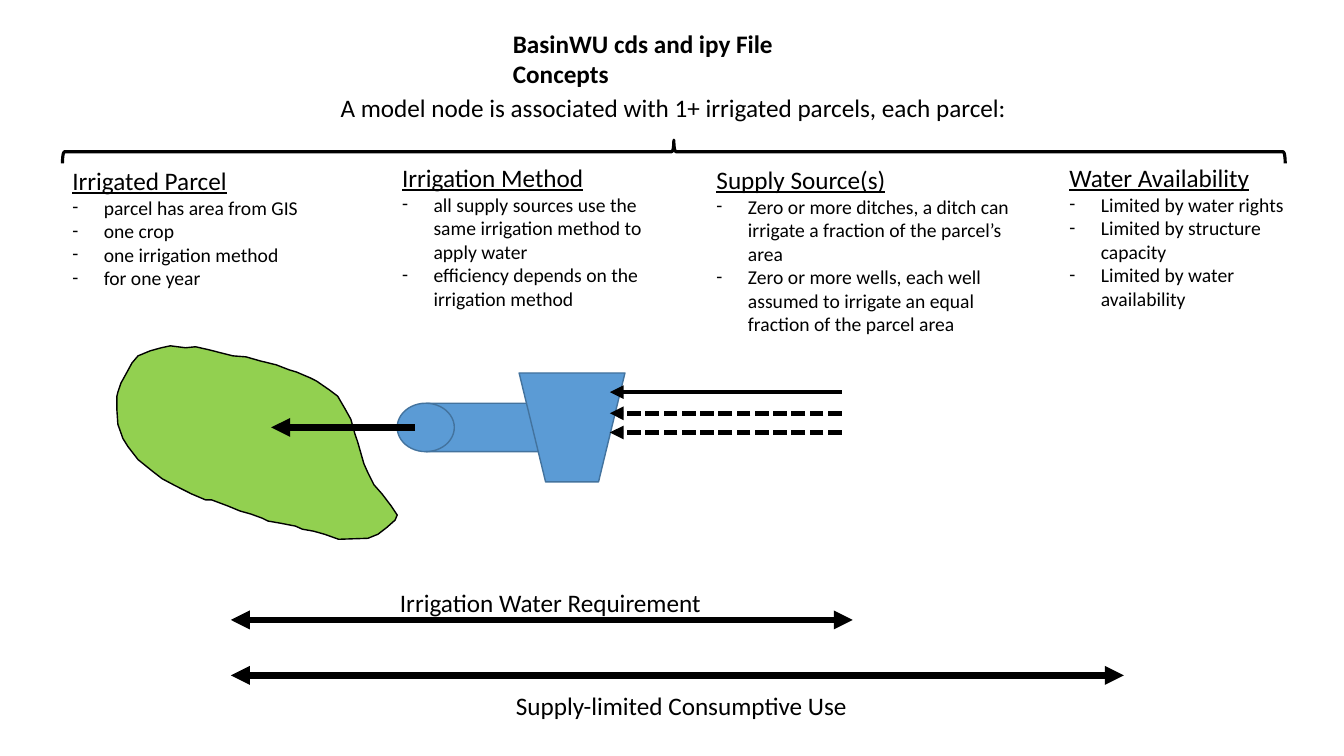
from lxml import etree
from pptx import Presentation
from pptx import util as u
from pptx.dml.color import RGBColor
from pptx.enum import dml, shapes, text
from pptx.oxml import ns

Pt = u.Pt
BLACK = RGBColor(0x00, 0x00, 0x00)
GREEN = RGBColor(0x92, 0xD0, 0x50)
BLUE = RGBColor(0x5B, 0x9B, 0xD5)
DARK_BLUE = RGBColor(0x43, 0x73, 0x9E)
FONT = "Calibri"
HEAD_SIZE, ITEM_SIZE, INDENT = 18, 14, 22.5

LABELS = [
    ("BasinWU cds and ipy File Concepts", 359.3, 16.6, 266.4, True),
    ("A model node is associated with 1+ irrigated parcels, each parcel:", 236.2, 62.6, 496, False),
    ("Irrigation Water Requirement", 278.6, 416.2, 231.8, False),
    ("Supply-limited Consumptive Use", 361.4, 489.6, 254.2, False),
]
COLUMNS = [
    ("Irrigated Parcel", (44.6, 114.5, 177.1, 97.2), False,
     ["parcel has area from GIS", "one crop", "one irrigation method", "for one year"]),
    ("Irrigation Method", (280.1, 112.3, 186.5, 113.8), True,
     ["all supply sources use the same irrigation method to apply water",
      "efficiency depends on the irrigation method"]),
    ("Supply Source(s)", (504.7, 113.8, 233.3, 131), True,
     ["Zero or more ditches, a ditch can irrigate a fraction of the parcel’s area",
      "Zero or more wells, each well assumed to irrigate an equal fraction of the parcel area"]),
    ("Water Availability", (756.7, 112.3, 195.8, 113.8), True,
     ["Limited by water rights", "Limited by structure capacity", "Limited by water availability"]),
]
PARCEL = [
    (132.5, 248.4), (121.7, 247), (115.2, 248.4), (107.3, 250.6), (98.6, 254.2), (94.3, 259.2),
    (90, 267.1), (86.4, 273.6), (84.2, 280.1), (83.5, 283), (83.5, 293), (84.2, 303.1),
    (87.8, 313.2), (91.4, 319), (98.6, 328.3), (109.4, 337), (115.9, 342), (125.3, 347),
    (136.8, 352.8), (146.9, 357.1), (151.2, 357.1), (162.7, 361.4), (171.4, 365), (179.3, 367.2),
    (187.2, 370.1), (191.5, 372.2), (200.2, 373.7), (211, 375.8), (216, 378), (223.9, 379.4),
    (231.8, 381.6), (241.9, 385.2), (262.8, 384.5), (270, 381.6), (276.5, 376.6), (282.2, 371.5),
    (283.7, 367.9), (279.4, 361.4), (272.9, 352.8), (267.1, 346.3), (262.8, 337.7), (259.9, 331.2),
    (255.6, 316.1), (253.4, 309.6), (250.6, 299.5), (246.2, 291.6), (241.2, 283), (235.4, 278.6),
    (226.1, 272.2), (221.8, 270), (211.7, 265.7), (206.6, 264.2), (197.3, 260.6), (185.8, 257.8),
    (175.7, 254.9), (166.3, 254.2), (157.7, 252), (149, 249.8), (139.7, 247.7),
]
DEVICES = [
    (shapes.MSO_SHAPE.FLOWCHART_DIRECT_ACCESS_STORAGE, (283.7, 288, 122.4, 34.6)),
    (shapes.MSO_SHAPE.TRAPEZOID, (370.8, 266.4, 75.6, 77.8)),
]
BRACE = (473, -328.3, 16.6, 873.4)
ARROWS = [
    (296.6, 193.7, 305.3, 4.5, False, False),
    (601.2, 435.6, 280.1, 3.25, False, False),
    (601.2, 435.6, 295.2, 3.25, True, False),
    (601.2, 435.6, 308.9, 3.25, True, False),
    (609.1, 164.9, 442.8, 4.5, False, True),
    (802.8, 164.9, 482.4, 4.5, False, True),
]


def paint(sp, fill, line, width):
    sp.shadow.inherit = False
    if fill is None:
        sp.fill.background()
    else:
        sp.fill.solid()
        sp.fill.fore_color.rgb = fill
    sp.line.color.rgb = line
    sp.line.width = Pt(width)


def add_text(s, box, lines, wrap):
    tf = s.shapes.add_textbox(*map(Pt, box)).text_frame
    tf.word_wrap = wrap
    tf.auto_size = text.MSO_AUTO_SIZE.SHAPE_TO_FIT_TEXT
    tf.text = "\n".join(lines)
    for i, p in enumerate(tf.paragraphs):
        f = p.runs[0].font
        f.name, f.color.rgb = FONT, BLACK
        f.size = Pt(ITEM_SIZE if i else HEAD_SIZE)
    return tf


def add_bullet(p):
    pPr = p._p.get_or_add_pPr()
    pPr.set("marL", str(Pt(INDENT)))
    pPr.set("indent", str(-Pt(INDENT)))
    etree.SubElement(pPr, ns.qn("a:buFont")).set("typeface", FONT)
    etree.SubElement(pPr, ns.qn("a:buChar")).set("char", "-")


def add_arrow(s, x1, x2, y, width, dashed, double):
    c = s.shapes.add_connector(shapes.MSO_CONNECTOR.STRAIGHT, Pt(x1), Pt(y), Pt(x2), Pt(y))
    c.line.color.rgb = BLACK
    c.line.width = Pt(width)
    if dashed:
        c.line.dash_style = dml.MSO_LINE.SQUARE_DOT
    ln = c.line._get_or_add_ln()
    for end in ["a:headEnd", "a:tailEnd"] if double else ["a:tailEnd"]:
        etree.SubElement(ln, ns.qn(end)).set("type", "triangle")
    etree.SubElement(c._element.spPr, ns.qn("a:effectLst"))


def main():
    prs = Presentation()
    prs.slide_width, prs.slide_height = Pt(960), Pt(540)
    s = prs.slides.add_slide(prs.slide_layouts[6])

    outline = [(x * 10, y * 10) for x, y in PARCEL]
    fb = s.shapes.build_freeform(*outline[0], scale=Pt(0.1))
    fb.add_line_segments(outline[1:], close=True)
    paint(fb.convert_to_shape(), GREEN, BLACK, 1)

    for kind, box in DEVICES:
        sp = s.shapes.add_shape(kind, *map(Pt, box))
        sp.rotation = 180
        paint(sp, BLUE, DARK_BLUE, 1)

    brace = s.shapes.add_shape(shapes.MSO_SHAPE.LEFT_BRACE, *map(Pt, BRACE))
    brace.rotation = 90
    paint(brace, None, BLACK, 2.25)

    for arrow in ARROWS:
        add_arrow(s, *arrow)

    for heading, box, wrap, items in COLUMNS:
        tf = add_text(s, box, [heading, *items], wrap)
        tf.paragraphs[0].runs[0].font.underline = True
        for p in tf.paragraphs[1:]:
            add_bullet(p)

    for label, x, y, w, bold in LABELS:
        tf = add_text(s, (x, y, w, 28.8), [label], False)
        tf.paragraphs[0].runs[0].font.bold = bold

    prs.save("out.pptx")


if __name__ == "__main__":
    main()
